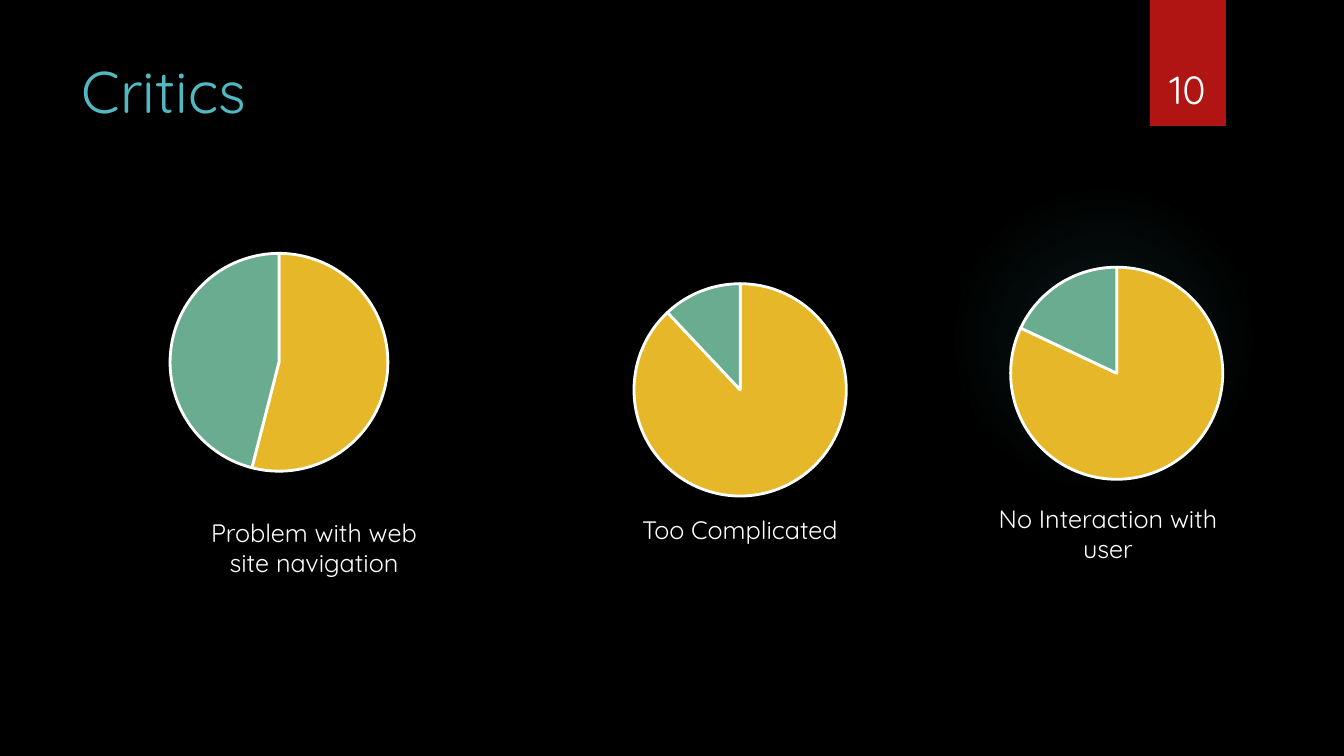
"""Build the Critics slide with three pie charts."""
from dataclasses import dataclass

from lxml.etree import fromstring
from pptx import Presentation
from pptx.chart.data import CategoryChartData
from pptx.dml.color import RGBColor
from pptx.enum.chart import XL_CHART_TYPE
from pptx.enum.shapes import MSO_SHAPE
from pptx.enum.text import MSO_ANCHOR, PP_ALIGN
from pptx.oxml.ns import nsdecls, qn
from pptx.slide import Slide
from pptx.util import Emu, Pt

FONT = "Quicksand"
BLACK, WHITE, RED, TEAL = "000000", "FFFFFF", "B01513", "50B9C1"
SLICES = (RED, "EA6312", "E6B729", "6AAC90")
Box = tuple[int, int, int, int]


@dataclass
class Pie:
    box: Box
    plot: tuple[float, float, float, float]
    share: int


@dataclass
class Label:
    text: str
    box: Box
    size: int = 18
    color: str = WHITE
    align: PP_ALIGN = PP_ALIGN.CENTER
    anchor: MSO_ANCHOR = MSO_ANCHOR.TOP


PIES = (
    Pie((517, 195, 480, 317), (0.24, 0.28, 0.45, 0.67), 88),
    Pie((73, 205, 404, 269), (0.24, 0.18, 0.54, 0.81), 54),
    Pie((825, 220, 442, 292), (0.42, 0.16, 0.48, 0.73), 82),
)
LABELS = (
    Label("Critics", (72, 50, 1037, 154), 42, TEAL, PP_ALIGN.LEFT),
    Label("Too Complicated", (624, 509, 232, 72)),
    Label("Problem with web site navigation", (198, 512, 232, 102)),
    Label("No Interaction with user", (975, 498, 266, 102)),
    Label("10", (1141, 32, 93, 85), 28, anchor=MSO_ANCHOR.BOTTOM),
)


def px(count: int) -> Emu:
    """Turn px into EMU."""
    return Emu(round(count * 914400 / 100.8))


def place(box: Box) -> list[Emu]:
    """Turn a box in px into EMU."""
    return [px(side) for side in box]


def paint(code: str) -> RGBColor:
    """Turn a hex string into a colour."""
    return RGBColor.from_string(code)


def add_form(slide: Slide, kind: MSO_SHAPE, box: Box, fill: str):
    """Add a plain filled shape."""
    form = slide.shapes.add_shape(kind, *place(box))
    form.shadow.inherit = False
    form.fill.solid()
    form.fill.fore_color.rgb = paint(fill)
    form.line.fill.background()
    return form


def add_glow(slide: Slide, box: Box) -> None:
    """Add a faint round glow."""
    glow = add_form(slide, MSO_SHAPE.OVAL, box, TEAL)
    stops = "".join(
        f'<a:gs pos="{pos * 1000}"><a:srgbClr val="{TEAL}">'
        f'<a:alpha val="{alpha * 1000}"/></a:srgbClr></a:gs>'
        for pos, alpha in ((0, 7), (36, 6), (69, 0))
    )
    grad = fromstring(
        f'<a:gradFill {nsdecls("a")}><a:gsLst>{stops}</a:gsLst><a:path path="circle">'
        '<a:fillToRect l="50000" t="50000" r="50000" b="50000"/></a:path></a:gradFill>'
    )
    props = glow.element.spPr
    props.replace(props.find(qn("a:solidFill")), grad)


def add_pie(slide: Slide, pie: Pie) -> None:
    """Add a pie chart with a fixed plot area."""
    data = CategoryChartData()
    data.categories = ["1", "2", "3", "4"]
    data.add_series("Series 1", (None, None, pie.share, 100 - pie.share))
    frame = slide.shapes.add_chart(XL_CHART_TYPE.PIE, *place(pie.box), data)
    chart = frame.chart
    chart.has_title = False
    chart.has_legend = False
    chart.font.name, chart.font.size = FONT, Pt(10)
    chart.font.color.rgb = paint(WHITE)
    plot = chart.plots[0]
    plot.vary_by_categories = True
    for index, color in enumerate(SLICES):
        style = plot.series[0].points[index].format
        style.fill.solid()
        style.fill.fore_color.rgb = paint(color)
        style.line.color.rgb = paint(WHITE)
        style.line.width = Pt(2)
    area = chart.element.find(".//" + qn("c:plotArea"))
    for old in area.findall(qn("c:layout")):
        area.remove(old)
    sides = "".join(
        f'<c:{name} val="{part}"/>' for name, part in zip("xywh", pie.plot)
    )
    area.insert(0, fromstring(
        f'<c:layout {nsdecls("c")}><c:manualLayout><c:layoutTarget val="inner"/>'
        f'<c:xMode val="edge"/><c:yMode val="edge"/>{sides}</c:manualLayout></c:layout>'
    ))


def add_label(slide: Slide, label: Label) -> None:
    """Add a text box."""
    frame = slide.shapes.add_textbox(*place(label.box)).text_frame
    frame.word_wrap = True
    frame.vertical_anchor = label.anchor
    frame.text = label.text
    line = frame.paragraphs[0]
    line.alignment = label.align
    font = line.runs[0].font
    font.name, font.size = FONT, Pt(label.size)
    font.color.rgb = paint(label.color)


def main() -> None:
    """Draw and save the slide."""
    deck = Presentation()
    deck.slide_width, deck.slide_height = px(1344), px(756)
    slide = deck.slides.add_slide(deck.slide_layouts[6])
    slide.background.fill.solid()
    slide.background.fill.fore_color.rgb = paint(BLACK)
    add_glow(slide, (949, 184, 310, 310))
    add_form(slide, MSO_SHAPE.RECTANGLE, (1150, 0, 76, 126), RED)
    for pie in PIES:
        add_pie(slide, pie)
    for label in LABELS:
        add_label(slide, label)
    deck.save("out.pptx")


if __name__ == "__main__":
    main()
